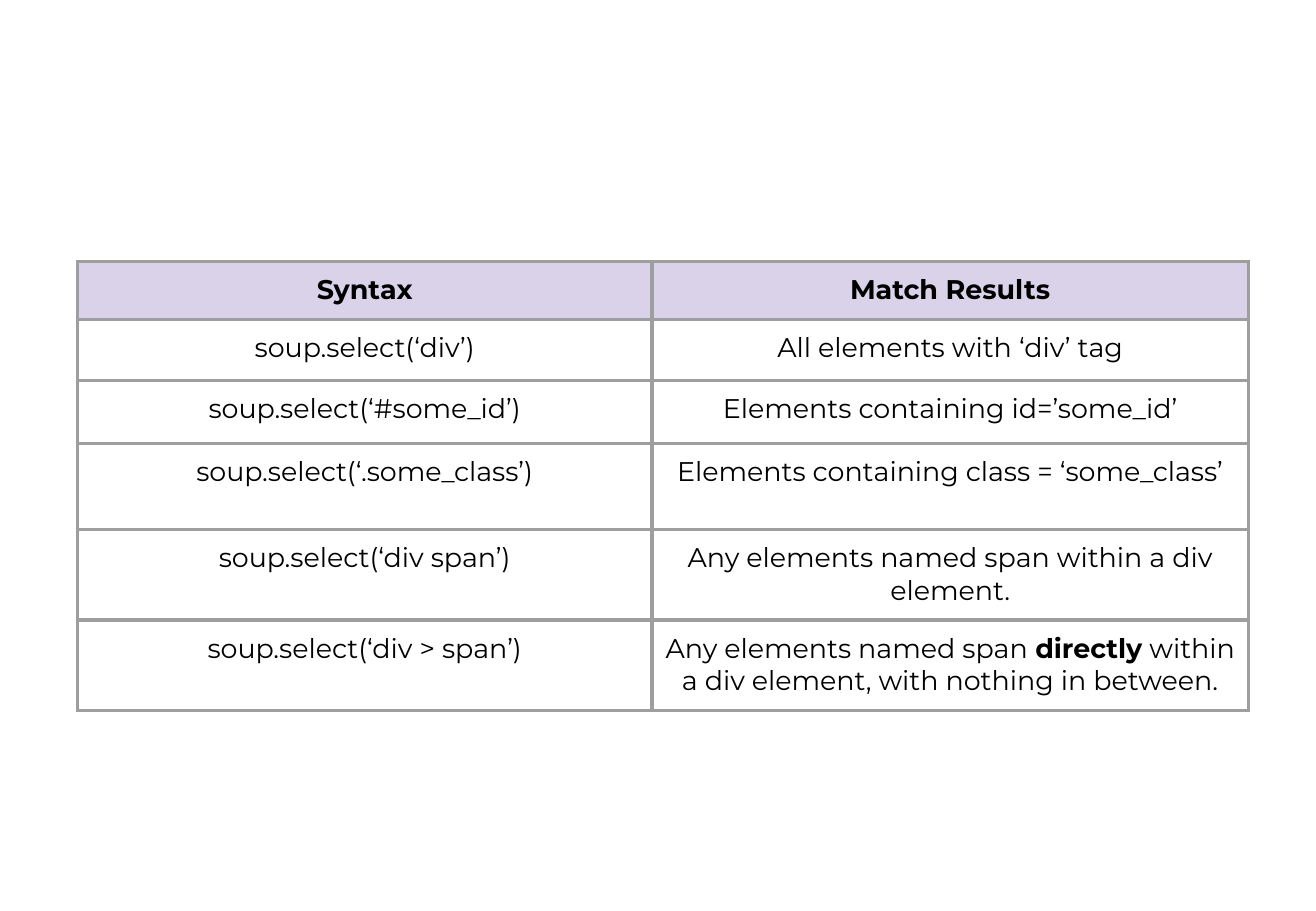
from pptx import Presentation
from pptx.dml.color import RGBColor
from pptx.enum.text import MSO_ANCHOR as Anchor, PP_ALIGN as Align
from pptx.oxml import parse_xml
from pptx.oxml.ns import nsdecls
from pptx.util import Pt

BORDER, HEADER_FILL, INK = "9E9E9E", "D9D2E9", "000000"
COLUMN_WIDTHS = [340.5, 353.5]
ROW_HEIGHTS = [34.5, 36, 37.5, 51, 53.5, 53.5]
CELL_FORMAT = {
    "margin_left": Pt(7.2), "margin_right": Pt(7.2),
    "margin_top": Pt(7.2), "margin_bottom": Pt(7.2),
    "vertical_anchor": Anchor.TOP,
}
FONT_FORMAT = {"name": "Montserrat", "size": Pt(16)}

# Each cell is a list of spans: (text, bold)
SELECTORS = [
    [[("Syntax", True)], [("Match Results", True)]],
    [[("soup.select(‘div’)", False)], [("All elements with ‘div’ tag", False)]],
    [[("soup.select(‘#some_id’)", False)],
     [("Elements containing id=’some_id’", False)]],
    [[("soup.select(‘.some_class’)", False)],
     [("Elements containing class = ‘some_class’", False)]],
    [[("soup.select(‘div span’)", False)],
     [("Any elements named span within a div element.", False)]],
    [[("soup.select(‘div > span’)", False)],
     [("Any elements named span ", False), ("directly", True),
      (" within a div element, with nothing in between.", False)]],
]


def color(value):
    return RGBColor.from_string(value)


def apply_format(target, values):
    for name, value in values.items():
        setattr(target, name, value)


def add_borders(cell):
    properties = cell._tc.get_or_add_tcPr()
    for side in ("lnL", "lnR", "lnT", "lnB"):
        properties.append(parse_xml(
            f'<a:{side} {nsdecls("a")} w="{Pt(2.25)}"><a:solidFill>'
            f'<a:srgbClr val="{BORDER}"/></a:solidFill></a:{side}>'))


def fill_cell(cell, spans, fill=None):
    apply_format(cell, CELL_FORMAT)
    add_borders(cell)
    if fill:
        cell.fill.solid()
        cell.fill.fore_color.rgb = color(fill)
    else:
        cell.fill.background()
    para = cell.text_frame.paragraphs[0]
    para.alignment = Align.CENTER
    for text, bold in spans:
        span = para.add_run()
        span.text = text
        apply_format(span.font, FONT_FORMAT | {"bold": bold})
        span.font.color.rgb = color(INK)


def add_selector_table(page, left, top):
    table = page.shapes.add_table(
        len(ROW_HEIGHTS), len(COLUMN_WIDTHS), Pt(left), Pt(top),
        Pt(sum(COLUMN_WIDTHS)), Pt(sum(ROW_HEIGHTS))).table
    table.horz_banding = False
    table.first_row = False
    for column, width in zip(table.columns, COLUMN_WIDTHS):
        column.width = Pt(width)
    for index, (row, height) in enumerate(zip(table.rows, ROW_HEIGHTS)):
        row.height = Pt(height)
        for cell, spans in zip(row.cells, SELECTORS[index]):
            fill_cell(cell, spans, HEADER_FILL if index == 0 else None)


def main():
    deck = Presentation()
    deck.slide_width, deck.slide_height = Pt(780), Pt(540)
    # Blank page with the selector reference table
    page = deck.slides.add_slide(deck.slide_layouts[6])
    add_selector_table(page, 46, 155)
    deck.save("out.pptx")


if __name__ == "__main__":
    main()
